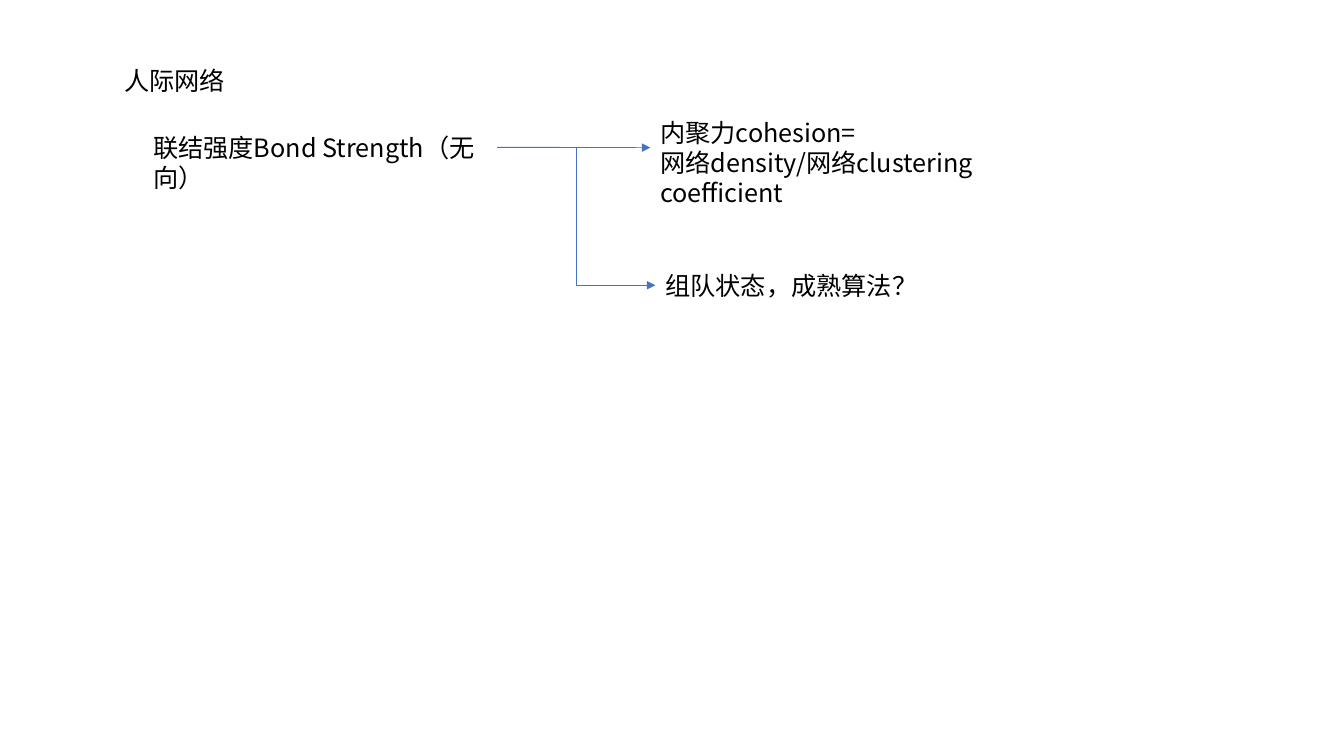
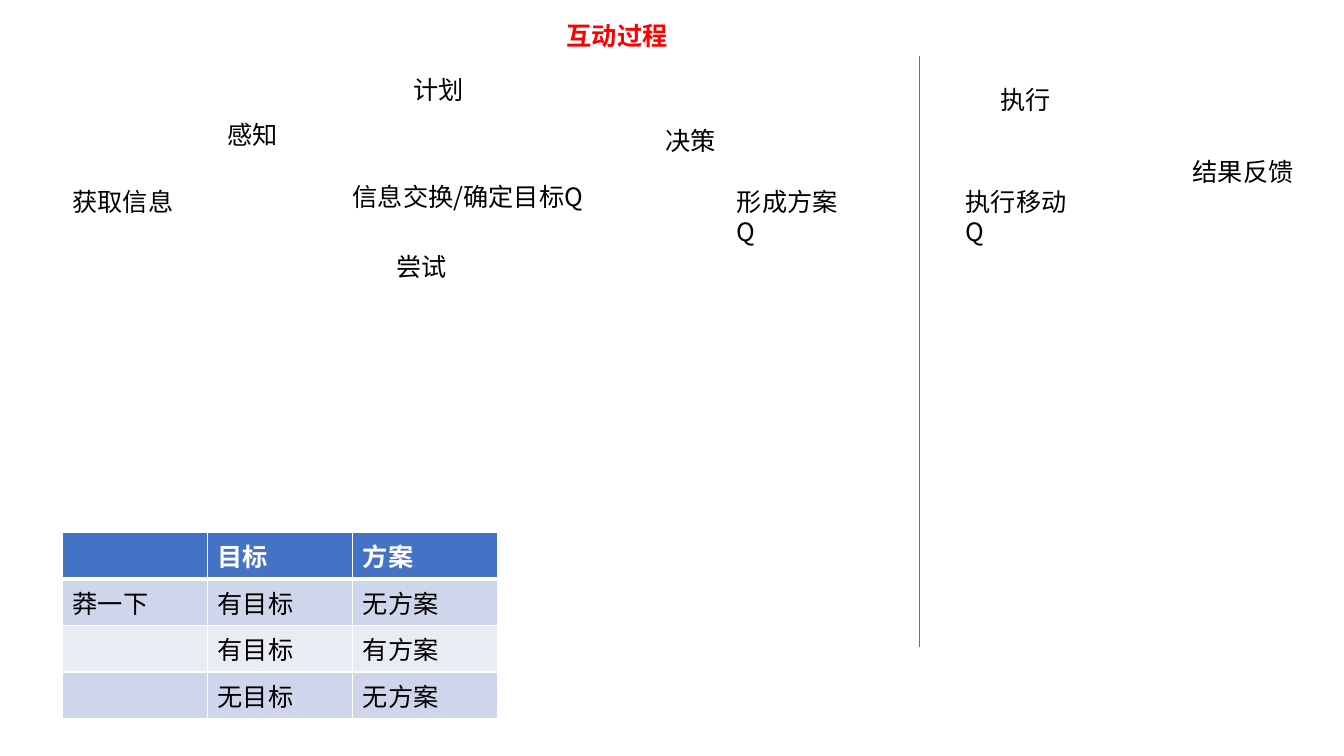
from dataclasses import dataclass

from lxml.etree import SubElement
from pptx import Presentation
from pptx.dml.color import RGBColor
from pptx.enum.shapes import MSO_CONNECTOR
from pptx.enum.text import MSO_ANCHOR, MSO_AUTO_SIZE, PP_ALIGN
from pptx.oxml.ns import qn
from pptx.util import Inches, Pt


# Theme: colours, font and sizes in one place
@dataclass(frozen=True)
class Theme:
    font: str = "Noto Sans CJK SC"
    size: float = 18
    line_width: float = 0.5
    border: float = 1
    header_border: float = 3
    text: str = "000000"
    accent: str = "4472C4"
    highlight: str = "FF0000"
    white: str = "FFFFFF"
    bands: tuple = ("CFD5EA", "E9EBF5")


class Deck:
    def __init__(self, theme):
        self.theme = theme
        self.presentation = Presentation()
        self.presentation.slide_width = Inches(13.33)
        self.presentation.slide_height = Inches(7.5)
        self.slide = None

    def new_slide(self, heading, left, top, width, **style):
        layout = self.presentation.slide_layouts.get_by_name("Title Only")
        self.slide = self.presentation.slides.add_slide(layout)
        title = self.slide.shapes.title
        title.left, title.top = Inches(left), Inches(top)
        title.width, title.height = Inches(width), Inches(0.4)
        self.set_text(title.text_frame, heading, wrap=False, **style)

    def set_text(self, frame, text, wrap, **style):
        frame_format = {
            "word_wrap": wrap,
            "auto_size": MSO_AUTO_SIZE.NONE,
            "vertical_anchor": MSO_ANCHOR.TOP,
            "margin_left": Inches(0.1),
            "margin_right": Inches(0.1),
            "margin_top": Inches(0.05),
            "margin_bottom": Inches(0.05),
        }
        for name, value in frame_format.items():
            setattr(frame, name, value)
        self.format_text(frame.paragraphs[0], text, **style)

    def format_text(self, paragraph, text, color=None, bold=False):
        paragraph.text = text
        paragraph.alignment = PP_ALIGN.LEFT
        font_format = {"name": self.theme.font, "size": Pt(self.theme.size), "bold": bold}
        for run in paragraph.runs:
            for name, value in font_format.items():
                setattr(run.font, name, value)
            run.font.color.rgb = RGBColor.from_string(color or self.theme.text)
            east_asian = SubElement(run.font._element, qn("a:ea"))
            east_asian.set("typeface", self.theme.font)

    def label(self, text, left, top, width, height=0.4, wrap=False):
        box = self.slide.shapes.add_textbox(*map(Inches, (left, top, width, height)))
        self.set_text(box.text_frame, text, wrap)
        return box

    def line(self, start=(0, 0), end=(0, 0), kind=MSO_CONNECTOR.STRAIGHT):
        connector = self.slide.shapes.add_connector(kind, *map(Inches, (*start, *end)))
        connector.line.width = Pt(self.theme.line_width)
        connector.line.color.rgb = RGBColor.from_string(self.theme.accent)
        SubElement(connector._element.spPr, qn("a:effectLst"))
        return connector

    def arrow(self, source, target, kind=MSO_CONNECTOR.STRAIGHT):
        """Arrow from the right side of source to the left side of target."""
        connector = self.line(kind=kind)
        connector.begin_connect(source, 3)
        connector.end_connect(target, 1)
        outline = connector._element.spPr.find(qn("a:ln"))
        SubElement(outline, qn("a:tailEnd")).set("type", "triangle")

    def borders(self, cell, **widths):
        for side in ("L", "R", "T", "B"):
            width = Pt(widths.get(side, self.theme.border))
            edge = SubElement(cell._tc.get_or_add_tcPr(), qn(f"a:ln{side}"), w=str(int(width)))
            fill = SubElement(edge, qn("a:solidFill"))
            SubElement(fill, qn("a:srgbClr"), val=self.theme.white)

    def table(self, rows, left, top, column_width, row_height):
        theme = self.theme
        columns = len(rows[0])
        table = self.slide.shapes.add_table(
            len(rows), columns, Inches(left), Inches(top),
            Inches(column_width * columns), Inches(row_height * len(rows))).table
        for r, values in enumerate(rows):
            table.rows[r].height = Inches(row_height)
            header = r == 0
            fill = theme.accent if header else theme.bands[(r - 1) % 2]
            edges = {0: {"B": theme.header_border}, 1: {"T": theme.header_border}}.get(r, {})
            for c, value in enumerate(values):
                cell = table.cell(r, c)
                self.borders(cell, **edges)
                cell.fill.solid()
                cell.fill.fore_color.rgb = RGBColor.from_string(fill)
                if value:
                    self.format_text(cell.text_frame.paragraphs[0], value,
                                     theme.white if header else theme.text, header)
        for column in table.columns:
            column.width = Inches(column_width)


def network_slide(deck):
    deck.new_slide("人际网络", 1.13, 0.6, 1.21)

    # Bond strength and the two measures it leads to
    bond = deck.label("联结强度Bond Strength（无向）", 1.42, 1.26, 3.51, wrap=True)
    cohesion = deck.label("内聚力cohesion=\n网络density/网络clustering coefficient",
                          6.45, 1.11, 4.46, 0.71, wrap=True)
    teaming = deck.label("组队状态，成熟算法？", 6.5, 2.63, 2.73)
    deck.arrow(bond, cohesion)
    deck.arrow(bond, teaming, MSO_CONNECTOR.ELBOW)


def interaction_slide(deck):
    deck.new_slide("互动过程", 5.52, 0.15, 1.21, color=deck.theme.highlight, bold=True)

    # Stages of the process
    for stage, left, top in (("感知", 2.16, 1.13), ("计划", 4, 0.69), ("决策", 6.5, 1.19),
                             ("执行", 9.82, 0.79), ("尝试", 3.83, 2.44)):
        deck.label(stage, left, top, 0.71)

    # Activities; the ones with a question mark Q wrap
    for activity, left, top, width in (
            ("获取信息", 0.62, 1.8, 1.21), ("信息交换/确定目标Q", 3.4, 1.75, 2.51),
            ("形成方案Q", 7.21, 1.8, 1.3), ("执行移动Q", 9.48, 1.8, 1.3),
            ("结果反馈", 11.73, 1.5, 1.21)):
        deck.label(activity, left, top, width, wrap=activity.endswith("Q"))

    # Divider before execution
    deck.line((9.12, 0.56), (9.12, 6.42))

    # Goals and plans
    deck.table((("", "目标", "方案"),
                ("莽一下", "有目标", "无方案"),
                ("", "有目标", "有方案"),
                ("", "无目标", "无方案")), 0.62, 5.28, 1.44, 0.41)


def main():
    deck = Deck(Theme())
    network_slide(deck)
    interaction_slide(deck)
    deck.presentation.save("out.pptx")


if __name__ == "__main__":
    main()
